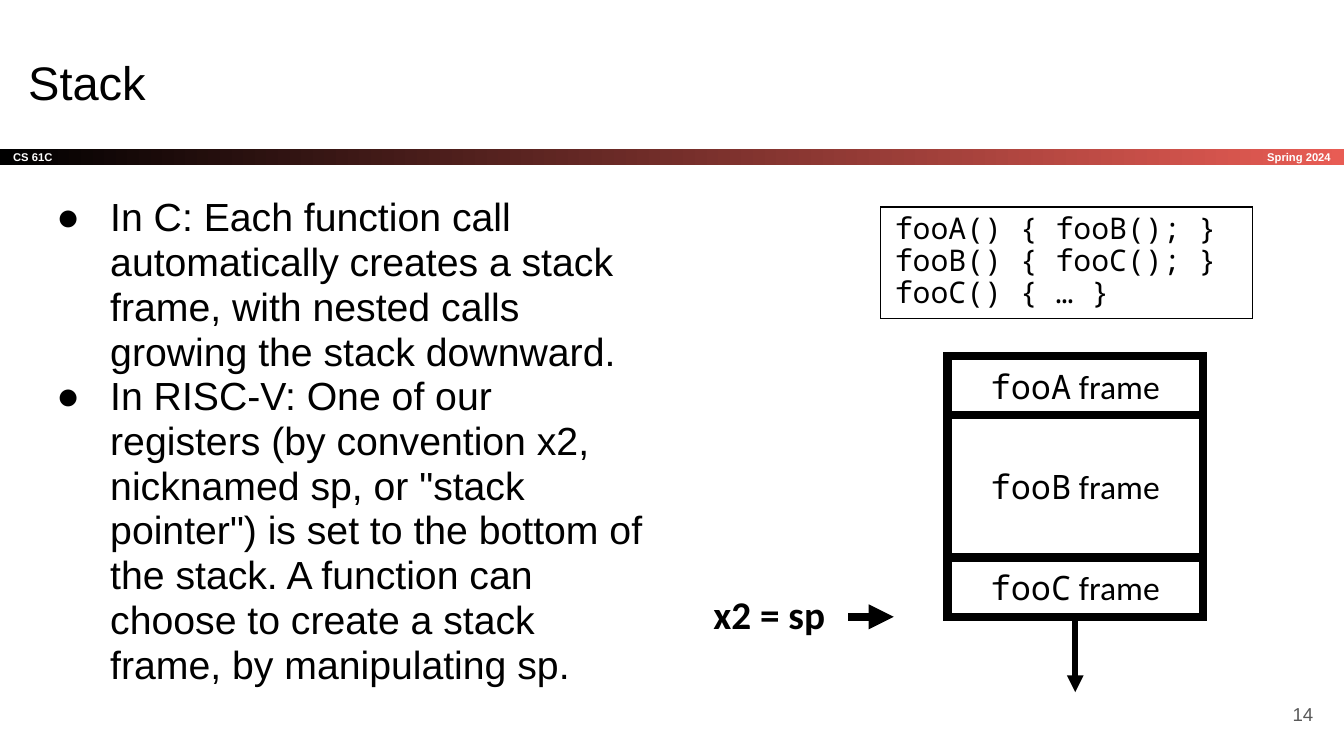
from dataclasses import dataclass

from lxml import etree
from pptx import Presentation
from pptx.dml.color import RGBColor
from pptx.enum import shapes, text
from pptx.oxml import ns
from pptx.util import Inches, Pt

COLORS = {"ink": "000000", "paper": "FFFFFF", "coral": "E85C54", "gray": "595959"}
SANS, HUMAN, MONO = "Arial", "Calibri", "Noto Sans Mono"
LEFT, CENTER, RIGHT = text.PP_ALIGN.LEFT, text.PP_ALIGN.CENTER, text.PP_ALIGN.RIGHT
TOP, MIDDLE = text.MSO_ANCHOR.TOP, text.MSO_ANCHOR.MIDDLE


@dataclass
class Box:
    left: float
    top: float
    width: float
    height: float

    def emu(self) -> list:
        return [Inches(v) for v in (self.left, self.top, self.width, self.height)]


@dataclass
class Style:
    size: float
    font: str = SANS
    color: str = "ink"
    bold: bool = False


@dataclass
class Frame:
    function: str
    height: float


@dataclass
class Arrow:
    start: tuple
    end: tuple
    weight: float


def rgb(name: str) -> RGBColor:
    return RGBColor.from_string(COLORS[name])


def add_run(paragraph, words: str, style: Style) -> None:
    run = paragraph.add_run()
    run.text = words
    run.font.size = Pt(style.size)
    run.font.name = style.font
    run.font.bold = style.bold
    run.font.color.rgb = rgb(style.color)


def set_frame(shape, anchor=TOP, inset_y: float = 0.1):
    frame = shape.text_frame
    frame.word_wrap = True
    frame.auto_size = text.MSO_AUTO_SIZE.NONE
    frame.vertical_anchor = anchor
    frame.margin_left = frame.margin_right = Inches(0.1)
    frame.margin_top = frame.margin_bottom = Inches(inset_y)
    return frame


def write_lines(frame, lines: list, align=LEFT, spacing: float = 1.0) -> None:
    """Each line is a list of (words, style) runs."""
    for i, runs in enumerate(lines):
        paragraph = frame.add_paragraph() if i else frame.paragraphs[0]
        paragraph.alignment = align
        paragraph.line_spacing = spacing
        paragraph.space_before = Pt(0)
        for words, style in runs:
            add_run(paragraph, words, style)


def add_label(slide, box: Box, words: str, style: Style, align=LEFT,
              anchor=MIDDLE, inset_y: float = 0.1) -> None:
    label = slide.shapes.add_textbox(*box.emu())
    write_lines(set_frame(label, anchor, inset_y), [[(words, style)]], align)


def add_outline(slide, box: Box, weight: float):
    outline = slide.shapes.add_shape(shapes.MSO_SHAPE.RECTANGLE, *box.emu())
    outline.shadow.inherit = False
    outline.fill.background()
    outline.line.color.rgb = rgb("ink")
    outline.line.width = Pt(weight)
    etree.SubElement(outline.line._get_or_add_ln(), ns.qn("a:miter"), lim="800000")
    return outline


def add_arrow(slide, arrow: Arrow) -> None:
    ends = [Inches(v) for v in (*arrow.start, *arrow.end)]
    line = slide.shapes.add_connector(shapes.MSO_CONNECTOR.STRAIGHT, *ends)
    line.line.color.rgb = rgb("ink")
    line.line.width = Pt(arrow.weight)
    etree.SubElement(line.line._get_or_add_ln(), ns.qn("a:tailEnd"), type="triangle")
    etree.SubElement(line._element.spPr, ns.qn("a:effectLst"))


def set_indent(paragraph, margin: float, first: float):
    props = paragraph._p.get_or_add_pPr()
    props.set("marL", str(Inches(margin)))
    props.set("indent", str(Inches(first)))
    return props


def add_bullet(paragraph) -> None:
    props = set_indent(paragraph, 0.5, -0.4)
    color = etree.SubElement(props, ns.qn("a:buClr"))
    etree.SubElement(color, ns.qn("a:srgbClr"), val=COLORS["ink"])
    etree.SubElement(props, ns.qn("a:buFont"), typeface=SANS)
    etree.SubElement(props, ns.qn("a:buChar"), char="●")


def place(placeholder, box: Box) -> None:
    (placeholder.left, placeholder.top,
     placeholder.width, placeholder.height) = box.emu()


def main() -> None:
    deck = Presentation()
    deck.slide_width, deck.slide_height = Inches(10), Inches(10 * 9 / 16)
    slide = deck.slides.add_slide(deck.slide_layouts[1])

    # Course band
    course_style = Style(6, color="paper", bold=True)
    band = add_outline(slide, Box(0, 1.11, 10, 0.12), 0.75)
    band.line.fill.background()
    band.fill.gradient()
    band.fill.gradient_angle = 0
    for stop, color, position in zip(band.fill.gradient_stops, ("ink", "coral"), (0, 1)):
        stop.color.rgb = rgb(color)
        stop.position = position
    write_lines(set_frame(band, MIDDLE), [[("CS 61C", course_style)]])
    add_label(slide, Box(8.34, 1.11, 1.66, 0.12), "Spring 2024", course_style, RIGHT)

    # Title and explanation
    title, explanation = slide.placeholders[0], slide.placeholders[1]
    place(title, Box(0.11, 0.3, 9.32, 0.63))
    write_lines(set_frame(title), [[("Stack", Style(25.2))]])
    place(explanation, Box(0.22, 1.36, 4.68, 4.12))
    points = [
        "In C: Each function call automatically creates a stack frame, "
        "with nested calls growing the stack downward.",
        "In RISC-V: One of our registers (by convention x2, nicknamed sp, or "
        "\"stack pointer\") is set to the bottom of the stack. A function can "
        "choose to create a stack frame, by manipulating sp.",
    ]
    write_lines(set_frame(explanation), [[(p, Style(21))] for p in points], spacing=0.95)
    for paragraph in explanation.text_frame.paragraphs:
        add_bullet(paragraph)

    # Page number
    add_label(slide, Box(9.27, 5.1, 0.6, 0.43), "14", Style(10, color="gray"), RIGHT)

    # Stack frames, from the top down
    frame_top = 2.65
    for item in (Frame("fooA", 0.44), Frame("fooB", 1.06), Frame("fooC", 0.44)):
        cell = add_outline(slide, Box(7.05, frame_top, 1.9, item.height), 4.5)
        runs = [(item.function, Style(18, MONO)), (" frame", Style(18, HUMAN))]
        write_lines(set_frame(cell, MIDDLE, 0.05), [runs], CENTER)
        frame_top += item.height

    # Stack pointer and growth direction
    add_label(slide, Box(5.21, 4.34, 1.09, 0.45), "x2 = sp",
              Style(21, HUMAN, bold=True), anchor=TOP, inset_y=0.05)
    add_arrow(slide, Arrow((6.31, 4.59), (6.65, 4.59), 4.5))
    add_arrow(slide, Arrow((8, frame_top), (8, 5.15), 3))

    # Nested calls in C
    code = add_outline(slide, Box(6.55, 1.54, 2.77, 0.83), 0.75)
    calls = ["fooA() { fooB(); }", "fooB() { fooC(); }", "fooC() { … }"]
    write_lines(set_frame(code, TOP, 0.05),
                [[(call, Style(16, MONO))] for call in calls], spacing=0.9)
    for paragraph in code.text_frame.paragraphs:
        set_indent(paragraph, 0.01, 0)

    deck.save("out.pptx")


if __name__ == "__main__":
    main()
